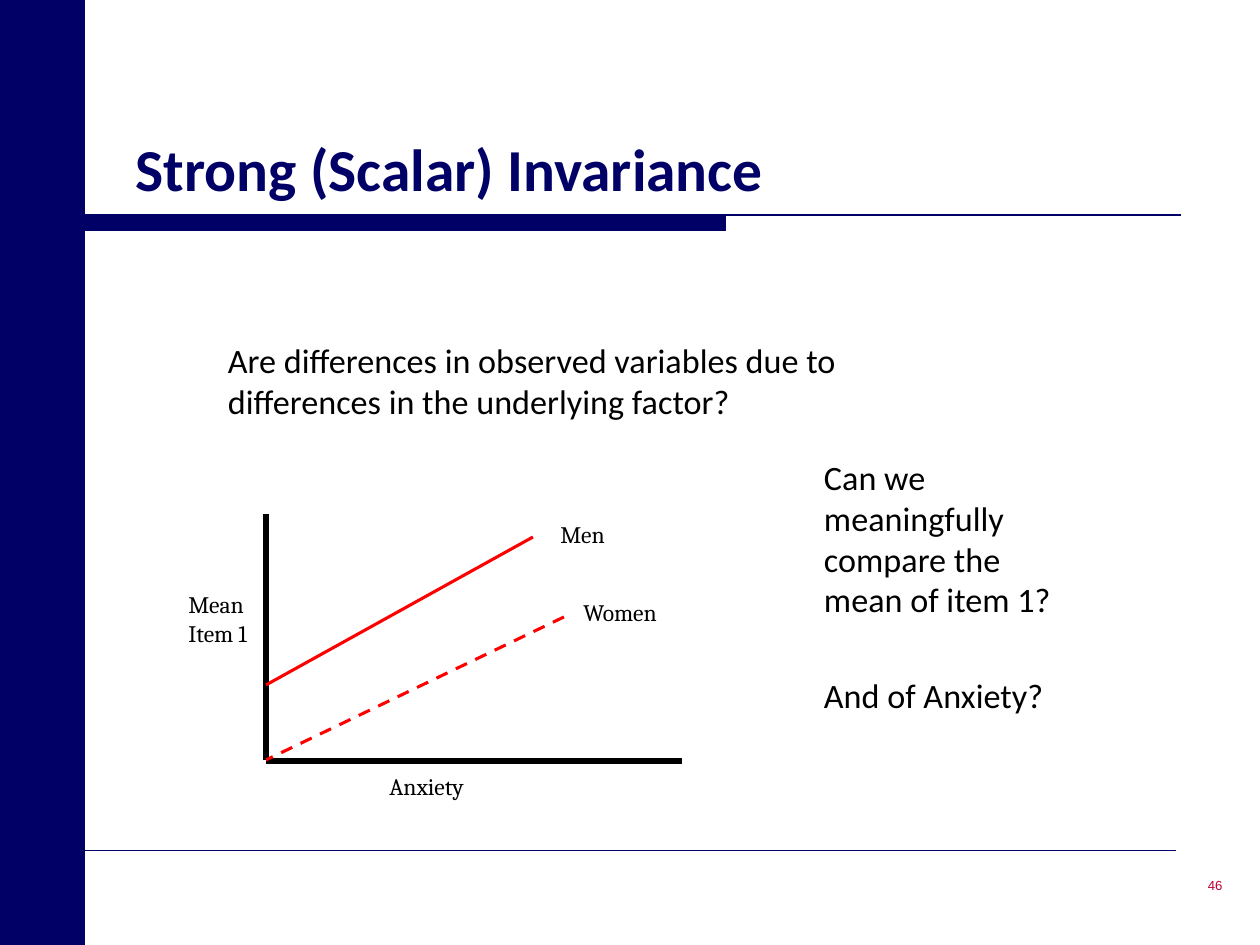
from dataclasses import dataclass

from lxml import etree
from pptx import Presentation
from pptx import util as u
from pptx.dml.color import RGBColor
from pptx.enum import dml, shapes, text
from pptx.oxml.ns import qn

W, H = 1260, 945  # slide size in px
SCALE = u.Inches(10) / W


@dataclass(frozen=True)
class Theme:
    navy: str = "000066"
    black: str = "000000"
    red: str = "FF0000"
    crimson: str = "BC0031"
    sans: str = "Calibri"
    serif: str = "Cambria"
    number_font: str = "Arial"
    title: float = 34
    body: float = 19.5
    label: float = 13.5
    number: float = 7.5


T = Theme()


def px(n):
    return u.Emu(round(n * SCALE))


def add_run(p, words, size, font, color, bold=False):
    r = p.add_run()
    r.text = words
    r.font.size, r.font.name, r.font.bold = u.Pt(size), font, bold
    r.font.color.rgb = RGBColor.from_string(color)


def add_text(s, box, lines, size, font, color, inset=True, gap=0):
    """Text box with one paragraph per line; gap is the space between them."""
    sp = s.shapes.add_textbox(*map(px, box))
    tf = sp.text_frame
    tf.word_wrap = True
    if not inset:
        tf.margin_left = tf.margin_top = tf.margin_right = tf.margin_bottom = 0
    for i, line in enumerate(lines):
        p = tf.add_paragraph() if i else tf.paragraphs[0]
        p.space_before = u.Pt(gap if i else 0)
        add_run(p, line, size, font, color)
    return tf


def add_bar(s, box):
    sp = s.shapes.add_shape(shapes.MSO_SHAPE.RECTANGLE, *map(px, box))
    sp.shadow.inherit = False
    sp.fill.solid()
    sp.fill.fore_color.rgb = RGBColor.from_string(T.navy)
    sp.line.fill.background()


def add_line(s, start, end, color, width, dash=None):
    cx = s.shapes.add_connector(shapes.MSO_CONNECTOR.STRAIGHT, *map(px, (*start, *end)))
    cx.line.color.rgb = RGBColor.from_string(color)
    cx.line.width = u.Pt(width)
    if dash:
        cx.line.dash_style = dash
    etree.SubElement(cx._element.spPr, qn("a:effectLst"))


def frame(s, box):
    """Side band, title rule, footer rule and slide number."""
    x, y, w, h = box
    band = 85
    add_line(s, (x + band, y + 215), (x + 1181, y + 215), T.navy, 0.75)
    add_bar(s, (x + band, y + 215, 641, 16))
    add_line(s, (x + band, y + 850), (x + 1176, y + 850), T.navy, 0.25)
    add_bar(s, (x, y, band, h))
    tf = add_text(s, (x + w - 287, y + 849, 262, 73), ["46"],
                  T.number, T.number_font, T.crimson)
    tf.vertical_anchor = text.MSO_ANCHOR.MIDDLE
    tf.paragraphs[0].alignment = text.PP_ALIGN.RIGHT


def title(s, box, words):
    sp = s.shapes.title
    sp.left, sp.top, sp.width, sp.height = map(px, box)
    tf = sp.text_frame
    tf.auto_size = text.MSO_AUTO_SIZE.NONE
    tf.vertical_anchor = text.MSO_ANCHOR.BOTTOM
    p = tf.paragraphs[0]
    p.alignment = text.PP_ALIGN.LEFT
    add_run(p, words, T.title, T.sans, T.navy, bold=True)


def questions(s, box, lines):
    add_text(s, box, lines, T.body, T.sans, T.black, inset=False, gap=31)


def intercept_plot(s, box):
    """Mean of item 1 against anxiety, one line per group."""
    x, y, w, h = box
    origin = (x, y + h)
    # Axes
    add_line(s, (x, y), origin, T.black, 3.5)
    add_line(s, (x + w, y + h + 1), (x, y + h + 1), T.black, 3.5)
    # Group lines
    add_line(s, (x + 267, y + 23), (x, y + 171), T.red, 1.75)
    add_line(s, (x + 298, y + 103), origin, T.red, 1.75, dml.MSO_LINE.DASH)
    # Labels
    for dx, dy, lines in (
        (111, 252, ["Anxiety"]),
        (-90, 70, ["Mean", "Item 1"]),
        (282, 0, ["Men"]),
        (305, 78, ["Women"]),
    ):
        add_text(s, (x + dx, y + dy, 275, 13 + 29 * len(lines)), lines,
                 T.label, T.serif, T.black)


def main():
    prs = Presentation()
    prs.slide_width, prs.slide_height = px(W), px(H)
    s = prs.slides.add_slide(prs.slide_layouts[5])  # title only
    frame(s, (0, 0, W, H))
    title(s, (123, 42, 969, 168), "Strong (Scalar) Invariance")
    questions(s, (228, 339, 743, 77),
              ["Are differences in observed variables due to differences in the underlying factor?"])
    intercept_plot(s, (266, 514, 416, 246))
    questions(s, (824, 456, 238, 77),
              ["Can we meaningfully compare the mean of item 1?", "And of Anxiety?"])
    prs.save("out.pptx")


if __name__ == "__main__":
    main()
